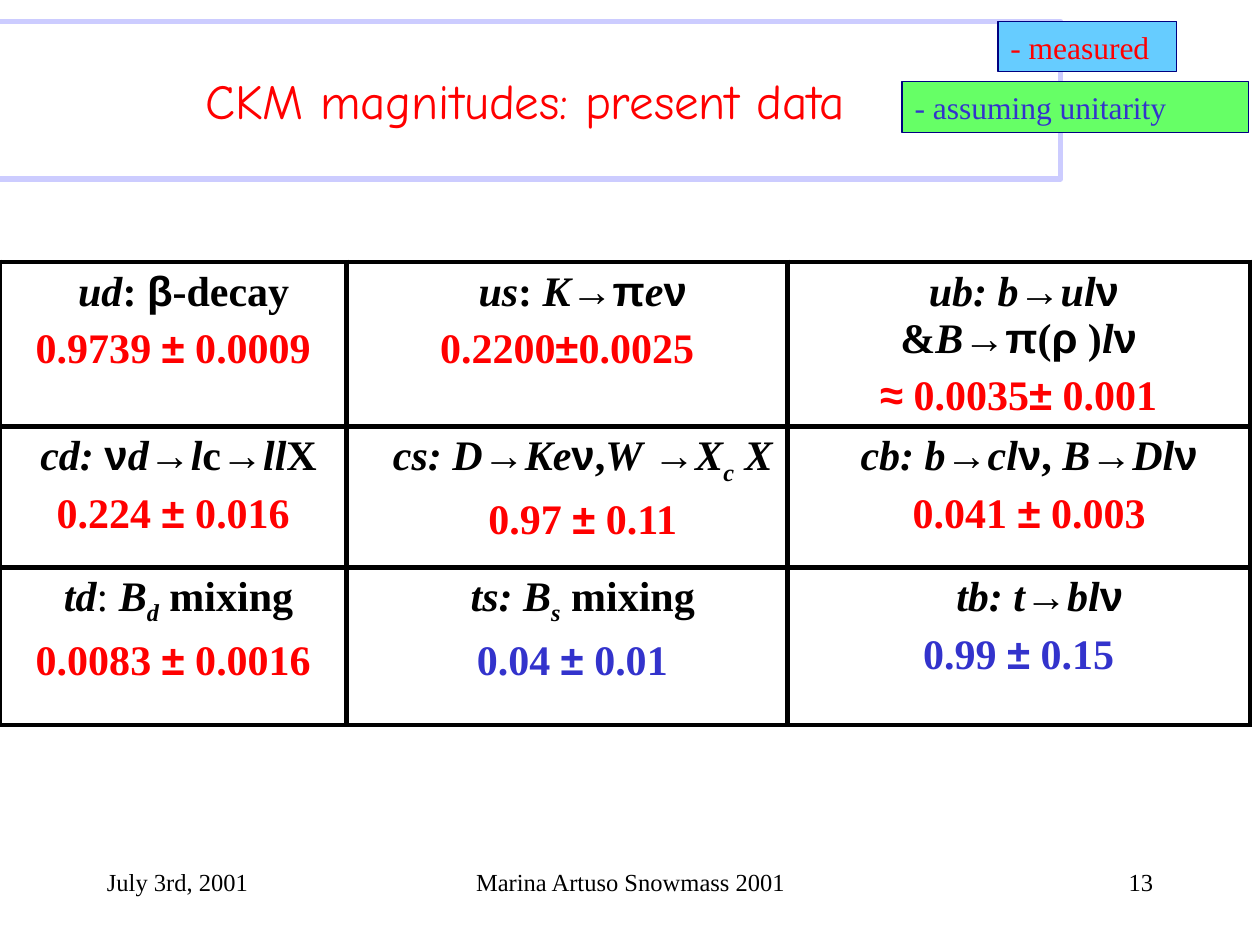
from itertools import groupby

from lxml import etree
from pptx import Presentation
from pptx import util as u
from pptx.dml.color import RGBColor
from pptx.enum import shapes, text
from pptx.oxml.ns import qn

THEME = {
    "serif": "Times New Roman", "symbol": "Arial", "title": "Comic Neue",
    "black": "000000", "red": "FF0000", "blue": "3333CC",
    "frame": "CCCCFF", "navy": "000080", "sky": "66CCFF", "green": "66FF66",
    "title_size": 28, "cell_size": 24, "legend_size": 18, "footer_size": 14,
}

# Content. In cells: *italic*, _subscript_, ~regular weight~
TITLE = "CKM magnitudes: present data"
LEGEND = [  # text, left, top, width, fill, text colour
    ("- measured", 7.92, 0.17, 1.42, "sky", "red"),
    ("- assuming unitarity", 7.16, 0.65, 2.75, "green", "blue"),
]
FOOTER = [  # text, left, width, alignment
    ("Marina Artuso Snowmass 2001", 3.42, 3.17, text.PP_ALIGN.CENTER),
    ("13", 7.17, 2.08, text.PP_ALIGN.RIGHT),
    ("July 3rd, 2001", 0.75, 2.08, text.PP_ALIGN.LEFT),
]
MAGNITUDES = [  # (process, indent), (value, indent), value colour
    [(("*ud*: β-decay", 12), ("0.9739 ± 0.0009", 0), "red"),
     (("*us*: *K*→π*e*ν", 18), ("0.2200±0.0025", 0), "red"),
     (("*ub: b→ul*ν &*B*→π(ρ )*l*ν", 6), ("≈ 0.0035± 0.001", 0), "red")],
    [(("*cd:* ν*d*→*l*c→*ll*X", 6), ("0.224 ± 0.016", 0), "red"),
     (("*cs: D*→*Ke*ν,*W* →*X_c_ X*", 18), ("0.97 ± 0.11", 18), "red"),
     (("*cb: b→cl*ν, *B*→*Dl*ν", 12), ("0.041 ± 0.003", 12), "red")],
    [(("*td*~: ~*B_d_* mixing", 6), ("0.0083 ± 0.0016", 0), "red"),
     (("*ts: B_s_* mixing", 18), ("0.04 ± 0.01", 6), "blue"),
     (("*tb: t→bl*ν", 24), ("0.99 ± 0.15", 0), "blue")],
]
COLUMNS = [2.75, 3.5, 3.67]
ROWS = [1.17, 1.12, 1.25]
SYMBOLS = "βνπρ→±≈"


def color(name):
    return RGBColor.from_string(THEME[name])


def style(font, face, size, color_name):
    font.name = THEME[face]
    font.size = u.Pt(THEME[size])
    font.color.rgb = color(color_name)


def write(frame, words, face, size, color_name, align):
    frame.word_wrap = True
    frame.text = words
    paragraph = frame.paragraphs[0]
    paragraph.alignment = align
    style(paragraph.runs[0].font, face, size, color_name)


def add_box(slide, box, line, line_width, fill=None):
    shape = slide.shapes.add_shape(shapes.MSO_SHAPE.RECTANGLE, *map(u.Inches, box))
    shape.shadow.inherit = False
    shape.line.color.rgb = color(line)
    shape.line.width = u.Pt(line_width)
    if fill:
        shape.fill.solid()
        shape.fill.fore_color.rgb = color(fill)
    else:
        shape.fill.background()
    return shape


def marked_pieces(markup):
    """Yield (letters, italic, subscript, regular, symbol) for each uniform stretch."""
    state = {"*": False, "_": False, "~": False}
    letters = []
    for letter in markup:
        if letter in state:
            state[letter] = not state[letter]
        else:
            letters.append((letter, (*state.values(), letter in SYMBOLS)))
    for flags, group in groupby(letters, key=lambda item: item[1]):
        yield "".join(letter for letter, _ in group), *flags


def write_formula(paragraph, markup, indent, color_name):
    paragraph.alignment = text.PP_ALIGN.CENTER
    properties = paragraph._p.get_or_add_pPr()
    properties.set("marL", "0")
    properties.set("indent", str(u.Pt(indent)))
    for letters, italic, subscript, regular, symbol in marked_pieces(markup):
        run = paragraph.add_run()
        run.text = letters
        style(run.font, "symbol" if symbol else "serif", "cell_size", color_name)
        run.font.bold = not regular
        run.font.italic = italic
        if subscript:
            run.font._element.set("baseline", "-25000")


def add_borders(cell):
    properties = cell._tc.get_or_add_tcPr()
    for position, side in enumerate(("lnL", "lnR", "lnT", "lnB")):
        line = etree.Element(qn(f"a:{side}"), w=str(u.Pt(3)))
        fill = etree.SubElement(line, qn("a:solidFill"))
        etree.SubElement(fill, qn("a:srgbClr"), val=THEME["black"])
        properties.insert(position, line)


def add_magnitudes(slide):
    frame = slide.shapes.add_table(
        len(ROWS), len(COLUMNS), 0, u.Inches(2.08),
        u.Inches(sum(COLUMNS)), u.Inches(sum(ROWS)))
    table = frame.table
    table.first_row = table.horz_banding = False
    for column, width in zip(table.columns, COLUMNS):
        column.width = u.Inches(width)
    for row, height, entries in zip(table.rows, ROWS, MAGNITUDES):
        row.height = u.Inches(height)
        for cell, (process, value, value_color) in zip(row.cells, entries):
            cell.fill.background()
            add_borders(cell)
            write_formula(cell.text_frame.paragraphs[0], *process, "black")
            paragraph = cell.text_frame.add_paragraph()
            paragraph.space_before = u.Pt(6)
            write_formula(paragraph, *value, value_color)


def main():
    presentation = Presentation()
    presentation.slide_width = u.Inches(10)
    presentation.slide_height = u.Inches(7.5)
    slide = presentation.slides.add_slide(presentation.slide_layouts[6])

    # Title frame
    title = add_box(slide, (-0.08, 0.17, 8.5, 1.25), "frame", 3)
    title.text_frame.vertical_anchor = text.MSO_ANCHOR.MIDDLE
    write(title.text_frame, TITLE, "title", "title_size", "red", text.PP_ALIGN.CENTER)

    # Matrix of magnitudes
    add_magnitudes(slide)

    # Colour legend
    for words, left, top, width, fill, ink in LEGEND:
        label = add_box(slide, (left, top, width, 0.4), "navy", 0.75, fill)
        label.text_frame.vertical_anchor = text.MSO_ANCHOR.TOP
        write(label.text_frame, words, "serif", "legend_size", ink, text.PP_ALIGN.LEFT)

    # Footer
    for words, left, width, align in FOOTER:
        box = slide.shapes.add_textbox(*map(u.Inches, (left, 6.83, width, 0.5)))
        write(box.text_frame, words, "serif", "footer_size", "black", align)

    presentation.save("out.pptx")


if __name__ == "__main__":
    main()
